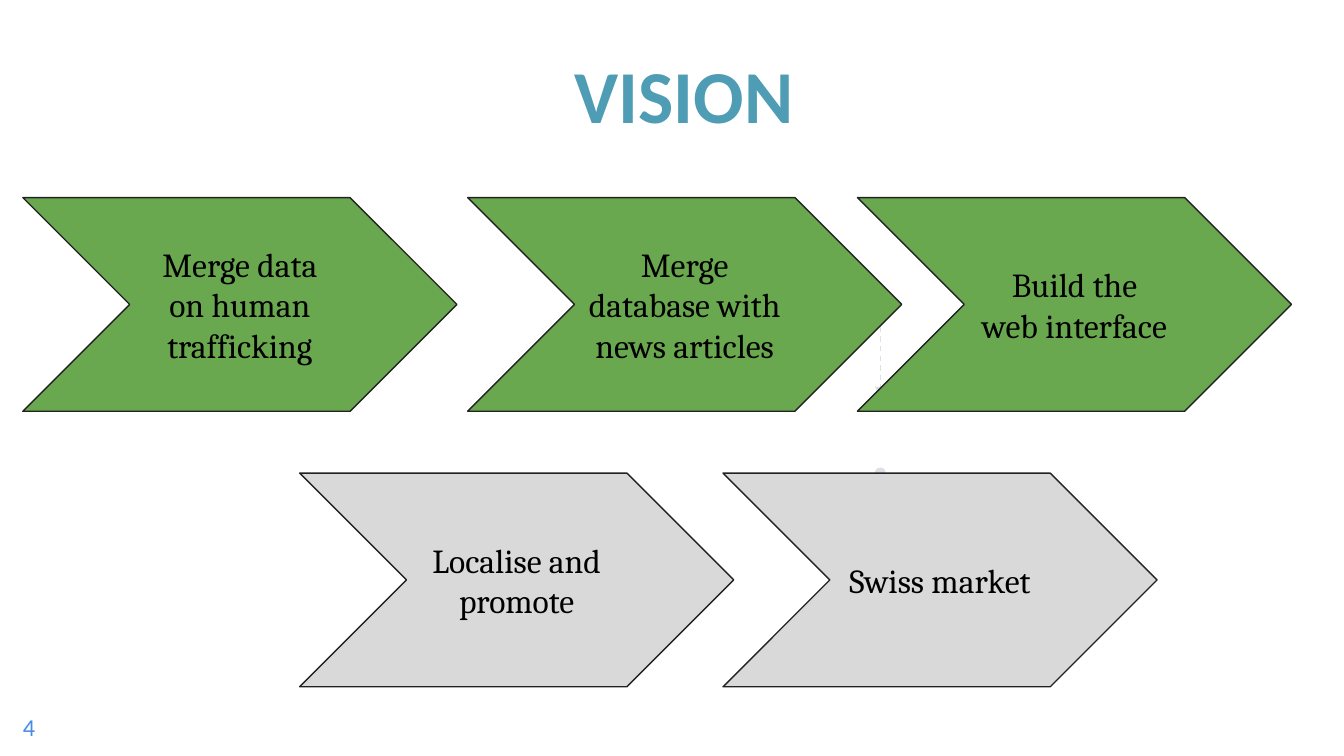
from lxml.etree import SubElement
from pptx import Presentation
from pptx.dml.color import RGBColor
from pptx.enum.dml import MSO_LINE
from pptx.enum.shapes import MSO_CONNECTOR, MSO_SHAPE
from pptx.enum.text import MSO_ANCHOR, PP_ALIGN
from pptx.oxml.ns import qn
from pptx.util import Pt

PX = 4572  # EMU per px, 200 px to the inch
COLORS = {
    "title": "4F9CB5",
    "number": "498BE4",
    "text": "000000",
    "done": "6AA84F",
    "planned": "D9D9D9",
    "outline": "222222",
    "arrow": "DCE1E8",
}
TITLE = {"name": "Calibri", "size": Pt(40), "bold": True}
NUMBER = {"name": "Calibri", "size": Pt(13)}
STEP = {"name": "Cambria", "size": Pt(18)}

STEP_W, STEP_H = 646, 318
ROWS = [
    (294, "done", [(34, "Merge data on human trafficking"),
                   (696, "Merge database with news articles"),
                   (1276, "Build the\vweb interface")]),
    (704, "planned", [(446, "Localise and promote"),
                      (1076, "Swiss market")]),
]
ARROW_X, ARROW_LENGTH = 1310, 156
ARROW_TOPS = [436, 704]


def px(*values):
    return [v * PX for v in values]


def rgb(name):
    return RGBColor.from_string(COLORS[name])


def write(sp, text, font, color, align, inset=0):
    tf = sp.text_frame
    tf.word_wrap = True
    tf.vertical_anchor = MSO_ANCHOR.MIDDLE
    for side in ("left", "top", "right", "bottom"):
        setattr(tf, f"margin_{side}", inset * PX)
    tf.text = text
    p = tf.paragraphs[0]
    p.alignment = align
    for r in p.runs:
        for key, value in font.items():
            setattr(r.font, key, value)
        r.font.color.rgb = rgb(color)


def add_title(s, text):
    sp = s.shapes.title
    sp.left, sp.top, sp.width, sp.height = px(136, 46, 1764, 188)
    write(sp, text, TITLE, "title", PP_ALIGN.CENTER)


def add_slide_number(s, text):
    sp = s.shapes.add_textbox(*px(34, 1038, 120, 86))
    write(sp, text, NUMBER, "number", PP_ALIGN.LEFT)


def add_arrow(s, x, top, length):
    """Dashed vertical arrow that starts with a dot."""
    sp = s.shapes.add_connector(MSO_CONNECTOR.STRAIGHT,
                                *px(x, top, x, top + length))
    sp.line.color.rgb = rgb("arrow")
    sp.line.width = Pt(0.75)
    sp.line.dash_style = MSO_LINE.DASH
    spPr = sp._element.spPr
    ln = spPr.find(qn("a:ln"))
    SubElement(ln, qn("a:headEnd"), type="oval")
    SubElement(ln, qn("a:tailEnd"), type="triangle")
    SubElement(spPr, qn("a:effectLst"))


def add_step(s, x, y, text, fill):
    sp = s.shapes.add_shape(MSO_SHAPE.CHEVRON, *px(x, y, STEP_W, STEP_H))
    sp.shadow.inherit = False
    sp.fill.solid()
    sp.fill.fore_color.rgb = rgb(fill)
    sp.line.color.rgb = rgb("outline")
    sp.line.width = Pt(0.75)
    write(sp, text, STEP, "text", PP_ALIGN.CENTER, inset=20)


def main():
    prs = Presentation()
    prs.slide_width, prs.slide_height = px(2000, 1125)
    s = prs.slides.add_slide(prs.slide_layouts[5])
    add_title(s, "VISION")
    add_slide_number(s, "4")
    for top in ARROW_TOPS:
        add_arrow(s, ARROW_X, top, ARROW_LENGTH)
    for y, fill, steps in ROWS:
        for x, text in steps:
            add_step(s, x, y, text, fill)
    prs.save("out.pptx")


if __name__ == "__main__":
    main()
